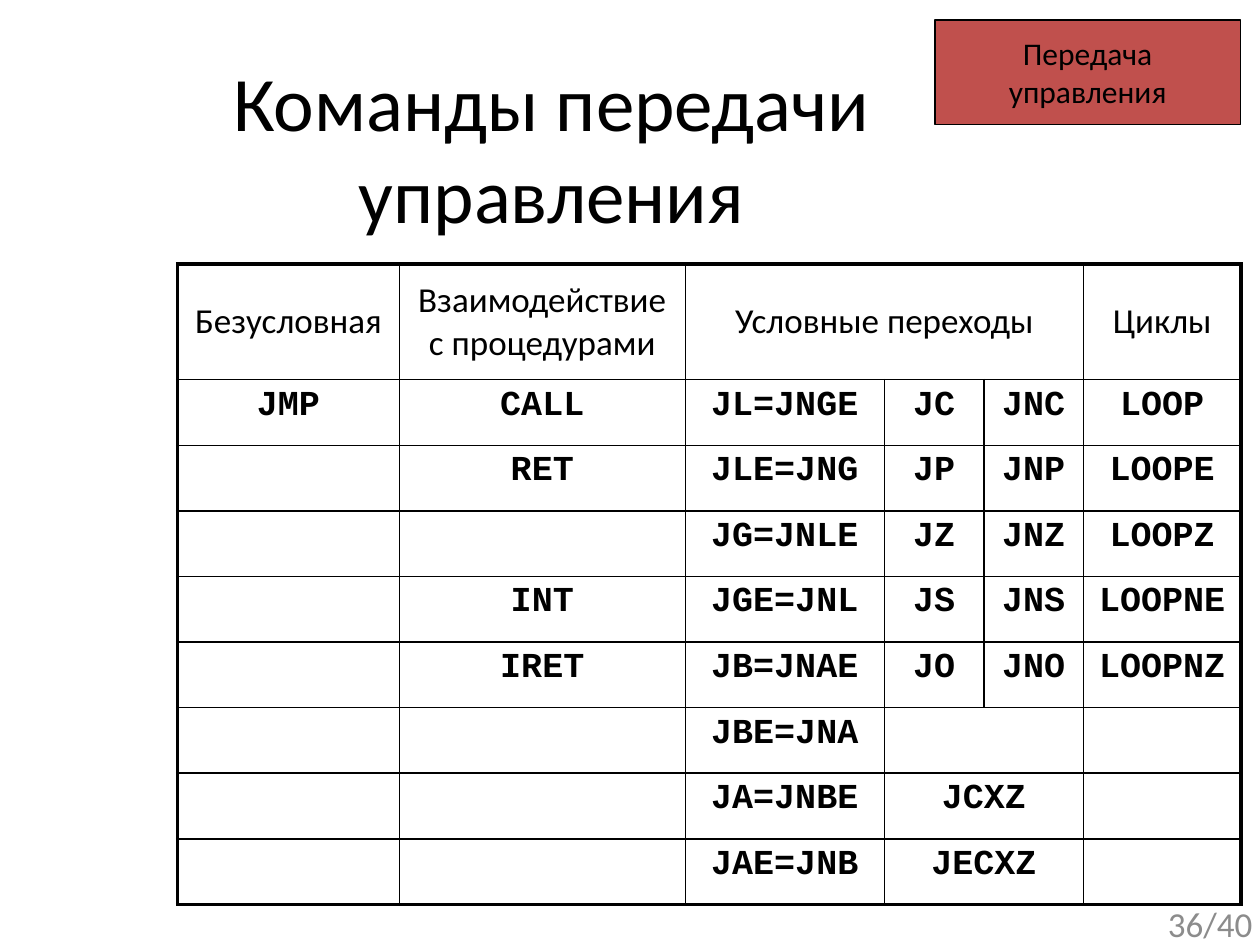
import pptx
import pptx.dml.color
import pptx.enum.shapes
import pptx.enum.text
import pptx.oxml
import pptx.oxml.ns
import pptx.util

COLORS = {"text": "000000", "paper": "FFFFFF", "badge": "C0504D", "number": "8C8C8C"}
ANCHOR = pptx.enum.text.MSO_ANCHOR
ALIGN = pptx.enum.text.PP_ALIGN

COLUMN_WIDTHS = [126.7, 163.4, 113.8, 56.9, 56.9, 90]
HEADER_HEIGHT, ROW_HEIGHT = 66.2, 37.5
ROWS = [
    ["Безусловная", "Взаимодействие с процедурами", "Условные переходы", "", "", "Циклы"],
    ["JMP", "CALL", "JL=JNGE", "JC", "JNC", "LOOP"],
    ["", "RET", "JLE=JNG", "JP", "JNP", "LOOPE"],
    ["", "", "JG=JNLE", "JZ", "JNZ", "LOOPZ"],
    ["", "INT", "JGE=JNL", "JS", "JNS", "LOOPNE"],
    ["", "IRET", "JB=JNAE", "JO", "JNO", "LOOPNZ"],
    ["", "", "JBE=JNA", "", "", ""],
    ["", "", "JA=JNBE", "JCXZ", "", ""],
    ["", "", "JAE=JNB", "JECXZ", "", ""],
]
# Row, first column, last column
MERGES = [(0, 2, 4), (6, 3, 4), (7, 3, 4), (8, 3, 4)]


def rgb(name):
    return pptx.dml.color.RGBColor.from_string(COLORS[name])


def points(*values):
    return [pptx.util.Pt(value) for value in values]


class SlideBuilder:
    body_font = "Calibri"
    code_font = "Courier New"
    thin, thick = 1, 2.25

    def __init__(self, slide):
        self.slide = slide

    def set_text(self, text_frame, text, size, color="text", align=ALIGN.CENTER, code=False):
        text_frame.text = text
        for paragraph in text_frame.paragraphs:
            paragraph.alignment = align
            for run in paragraph.runs:
                run.font.size = pptx.util.Pt(size)
                run.font.name = self.code_font if code else self.body_font
                run.font.bold = code
                run.font.color.rgb = rgb(color)

    def text_box(self, box, text, size, **style):
        shape = self.slide.shapes.add_textbox(*points(*box))
        shape.text_frame.word_wrap = True
        shape.text_frame.vertical_anchor = ANCHOR.MIDDLE
        self.set_text(shape.text_frame, text, size, **style)

    def badge(self, box, text, size):
        shape = self.slide.shapes.add_shape(
            pptx.enum.shapes.MSO_SHAPE.RECTANGLE, *points(*box))
        shape.shadow.inherit = False
        shape.fill.solid()
        shape.fill.fore_color.rgb = rgb("badge")
        shape.line.color.rgb = rgb("text")
        shape.line.width = pptx.util.Pt(0.75)
        shape.text_frame.word_wrap = False
        shape.text_frame.vertical_anchor = ANCHOR.MIDDLE
        self.set_text(shape.text_frame, text, size)

    def borders(self, cell, outer_sides):
        properties = cell._tc.get_or_add_tcPr()
        for index, side in enumerate("LRTB"):
            width = pptx.util.Pt(self.thick if outer_sides[side] else self.thin)
            line = pptx.oxml.parse_xml(
                f'<a:ln{side} {pptx.oxml.ns.nsdecls("a")} w="{width}"><a:solidFill>'
                f'<a:srgbClr val="{COLORS["text"]}"/></a:solidFill></a:ln{side}>')
            properties.insert(index, line)

    def table(self, left, top, rows, widths, heights, merges, size):
        box = points(left, top, sum(widths), sum(heights))
        table = self.slide.shapes.add_table(len(rows), len(widths), *box).table
        table.first_row = table.horz_banding = False
        for column, width in zip(table.columns, widths):
            column.width = pptx.util.Pt(width)
        for row, height in zip(table.rows, heights):
            row.height = pptx.util.Pt(height)
        last_row, last_column = len(rows) - 1, len(widths) - 1
        for r, texts in enumerate(rows):
            for c, text in enumerate(texts):
                cell = table.cell(r, c)
                if 0 < r < last_row:
                    cell.fill.solid()
                    cell.fill.fore_color.rgb = rgb("paper")
                else:
                    cell.fill.background()
                self.borders(cell, {"L": c == 0, "R": c == last_column,
                                    "T": r == 0, "B": r == last_row})
                cell.vertical_anchor = ANCHOR.TOP if r else ANCHOR.MIDDLE
                self.set_text(cell.text_frame, text, size, code=r > 0)
        for r, first, last in merges:
            table.cell(r, first).merge(table.cell(r, last))


def main():
    presentation = pptx.Presentation()
    presentation.slide_width, presentation.slide_height = points(720, 540)
    builder = SlideBuilder(presentation.slides.add_slide(presentation.slide_layouts[6]))

    # Title
    builder.text_box((20, 21.5, 590.5, 124.5), "Команды передачи управления", 44)

    # Command table
    heights = [HEADER_HEIGHT] + [ROW_HEIGHT] * (len(ROWS) - 1)
    builder.table(101.5, 150.8, ROWS, COLUMN_WIDTHS, heights, MERGES, 20)

    # Section badge
    builder.badge((534.3, 11.4, 174.5, 59.8), "Передача\nуправления", 18)

    # Page number
    builder.text_box((555, 513.5, 167.8, 28.8), "36/40", 20, color="number", align=ALIGN.RIGHT)

    presentation.save("out.pptx")


if __name__ == "__main__":
    main()
